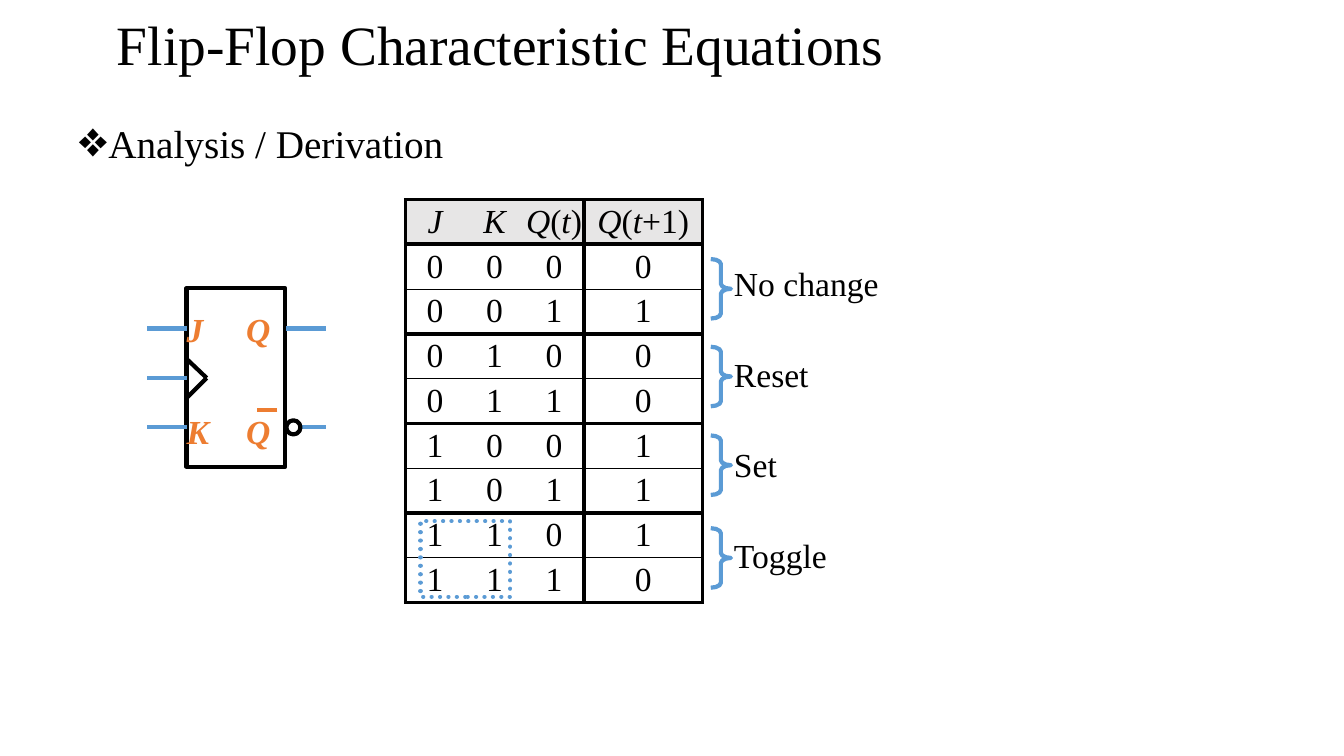
"""Build the JK flip-flop characteristic table slide."""
from dataclasses import dataclass
from itertools import groupby, product
from typing import Any

from lxml.etree import SubElement
from pptx import Presentation
from pptx.dml.color import RGBColor
from pptx.enum.dml import MSO_LINE
from pptx.enum.shapes import MSO_CONNECTOR, MSO_SHAPE
from pptx.enum.text import MSO_ANCHOR, MSO_AUTO_SIZE, PP_ALIGN
from pptx.oxml.ns import qn
from pptx.util import Pt

BLACK, WHITE, BLUE, ORANGE, GRAY = "000000", "FFFFFF", "5B9BD5", "ED7D31", "E7E6E6"
FACE = "Times New Roman"
BARE = {f"margin_{side}": 0 for side in ("left", "right", "top", "bottom")}


@dataclass
class Box:
    left: int
    top: int
    width: int
    height: int


@dataclass
class Wire:
    x1: int
    y1: int
    x2: int
    y2: int
    color: str = BLUE


@dataclass
class Pin:
    name: str
    left: int
    top: int


def px(n: int) -> int:
    return n * 9144


def hue(code: str) -> RGBColor:
    return RGBColor.from_string(code)


def assign(item: Any, values: dict[str, Any]) -> None:
    for name, value in values.items():
        setattr(item, name, value)


def area(box: Box) -> list[int]:
    return [px(n) for n in (box.left, box.top, box.width, box.height)]


def style(font: Any, size: float, color: str = BLACK, **extra: Any) -> None:
    assign(font, {"name": FACE, "size": Pt(size), **extra})
    font.color.rgb = hue(color)


def place(holder: Any, box: Box, text: str) -> Any:
    assign(holder, dict(zip(("left", "top", "width", "height"), area(box))))
    holder.text_frame.text = text
    holder.text_frame.auto_size = MSO_AUTO_SIZE.NONE
    para = holder.text_frame.paragraphs[0]
    assign(para, {"alignment": PP_ALIGN.LEFT, "line_spacing": 0.9, "space_before": Pt(0)})
    return para


def shape(shapes: Any, kind: Any, box: Box, color: str, fill: str = "") -> Any:
    item = shapes.add_shape(kind, *area(box))
    item.shadow.inherit = False
    if fill:
        item.fill.solid()
        item.fill.fore_color.rgb = hue(fill)
    else:
        item.fill.background()
    item.line.color.rgb = hue(color)
    item.line.width = Pt(3)
    return item


def wire(shapes: Any, part: Wire) -> None:
    ends = [px(n) for n in (part.x1, part.y1, part.x2, part.y2)]
    line = shapes.add_connector(MSO_CONNECTOR.STRAIGHT, *ends)
    line.line.color.rgb = hue(part.color)
    line.line.width = Pt(3)
    SubElement(line._element.spPr, qn("a:effectLst"))


def label(shapes: Any, box: Box) -> Any:
    frame = shapes.add_textbox(*area(box)).text_frame
    assign(frame, {**BARE, "word_wrap": True})
    return frame


def edge(cell: Any, side: str, width: float) -> None:
    line = SubElement(cell._tc.get_or_add_tcPr(), qn(f"a:ln{side}"), w=str(Pt(width)))
    if width:
        SubElement(SubElement(line, qn("a:solidFill")), qn("a:srgbClr"), val=BLACK)
    else:
        SubElement(line, qn("a:noFill"))


def rule(row: int) -> float:
    if row in (0, 9):
        return 2.25
    return 3 if row % 2 else 1


def fill_cell(cell: Any, text: str, row: int, col: int) -> None:
    posts = (2.25, 0, 0, 3, 2.25)
    sides = {"L": posts[col], "R": posts[col + 1], "T": rule(row), "B": rule(row + 1)}
    for side, width in sides.items():
        edge(cell, side, width)
    if row:
        cell.fill.background()
    else:
        cell.fill.solid()
        cell.fill.fore_color.rgb = hue(GRAY)
    assign(cell, {**BARE, "vertical_anchor": MSO_ANCHOR.MIDDLE})
    para = cell.text_frame.paragraphs[0]
    para.alignment = PP_ALIGN.CENTER
    for slant, chars in groupby(text, str.isalpha):
        run = para.add_run()
        run.text = "".join(chars)
        style(run.font, 24, italic=slant)


def truth(shapes: Any) -> None:
    rows = [("J", "K", "Q(t)", "Q(t+1)")]
    for j, k, q in product((0, 1), repeat=3):
        rows.append((j, k, q, 1 - k if q else j))
    frame = shapes.add_table(len(rows), 4, *area(Box(402, 198, 295, 400)))
    table = frame.table
    assign(table, {"first_row": False, "horz_banding": False})
    for col, width in zip(table.columns, (59, 59, 59, 118)):
        col.width = px(width)
    for r, values in enumerate(rows):
        table.rows[r].height = px(400) // len(rows)
        for c, value in enumerate(values):
            fill_cell(table.cell(r, c), str(value), r, c)


def device(shapes: Any) -> None:
    shape(shapes, MSO_SHAPE.RECTANGLE, Box(185, 286, 98, 177), BLACK, WHITE)
    wires = [Wire(185, y, 146, y) for y in (326, 375, 424)]
    wires += [Wire(323, y, 284, y) for y in (326, 424)]
    wires += [Wire(185, y, 205, 375, BLACK) for y in (356, 395)]
    for part in wires + [Wire(275, 407, 255, 407, ORANGE)]:
        wire(shapes, part)
    shape(shapes, MSO_SHAPE.OVAL, Box(284, 417, 14, 14), BLACK, WHITE)
    for pin in (Pin("J", 185, 306), Pin("Q", 244, 306), Pin("K", 185, 408), Pin("Q", 244, 408)):
        frame = label(shapes, Box(pin.left, pin.top, 39, 36))
        frame.text = pin.name
        style(frame.paragraphs[0].font, 24, ORANGE, bold=True, italic=True)


def notes(shapes: Any) -> None:
    frame = label(shapes, Box(728, 257, 177, 311))
    frame.text = "No change\nReset\nSet\nToggle"
    for i, para in enumerate(frame.paragraphs):
        assign(para, {"line_spacing": 1.1, "space_before": Pt(33 if i else 0)})
        style(para.font, 24)
    for top in (257, 344, 432, 524):
        brace = shape(shapes, MSO_SHAPE.RIGHT_BRACE, Box(705, top, 20, 59), BLUE)
        brace.adjustments[0] = 0.25
    dots = shape(shapes, MSO_SHAPE.RECTANGLE, Box(417, 517, 89, 75), BLUE)
    dots.line.dash_style = MSO_LINE.ROUND_DOT
    dots._element.spPr.find(qn("a:ln")).set("cap", "rnd")


def main() -> None:
    deck = Presentation()
    assign(deck, {"slide_width": px(1333), "slide_height": px(750)})
    slide = deck.slides.add_slide(deck.slide_layouts[1])
    title, body = slide.placeholders
    head = place(title, Box(106, 21, 866, 52), "Flip-Flop Characteristic Equations")
    title.text_frame.vertical_anchor = MSO_ANCHOR.MIDDLE
    style(head.font, 39.6)
    item = place(body, Box(67, 119, 906, 52), "Analysis / Derivation")
    props = item._p.get_or_add_pPr()
    props.set("marL", str(px(25)))
    props.set("indent", str(px(-25)))
    SubElement(props, qn("a:buFont"), typeface=FACE)
    SubElement(props, qn("a:buChar"), char="❖")
    style(item.font, 28)
    device(slide.shapes.add_group_shape().shapes)
    truth(slide.shapes)
    notes(slide.shapes)
    deck.save("out.pptx")


if __name__ == "__main__":
    main()
